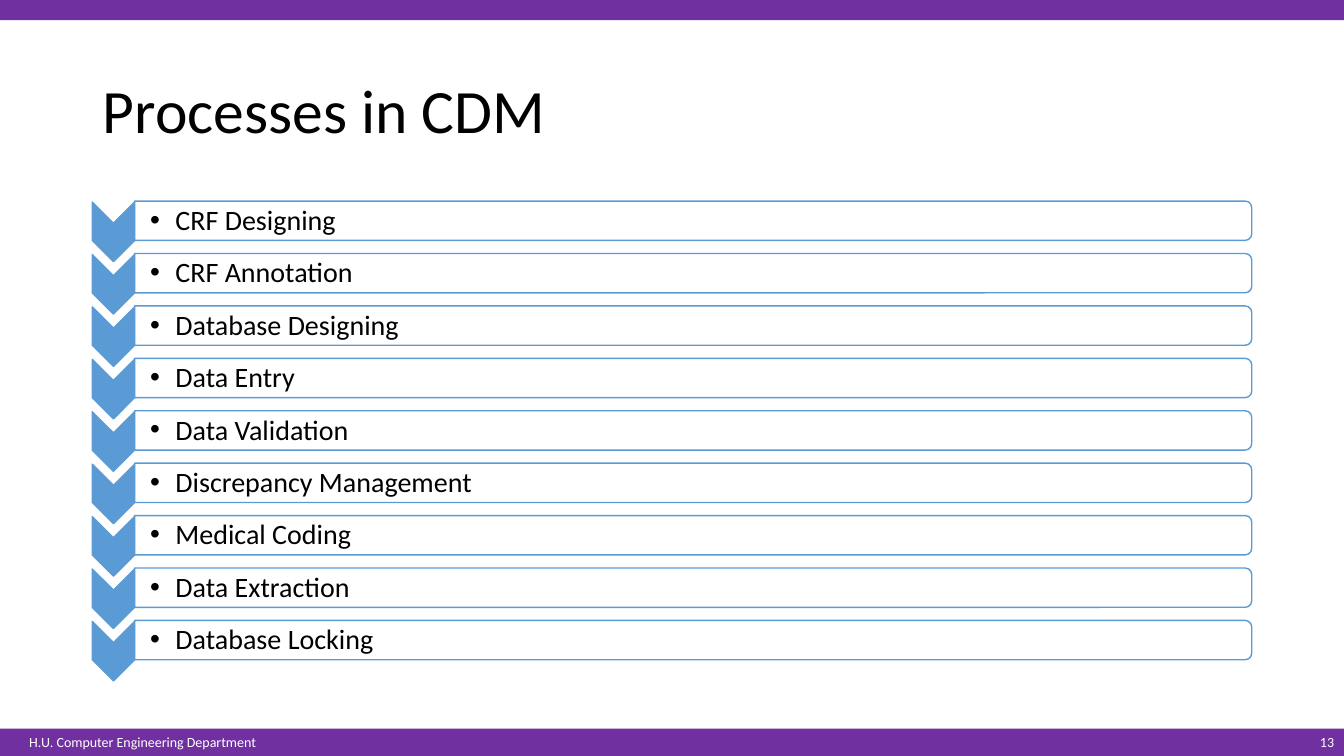
import dataclasses

import lxml.etree
import pptx
import pptx.dml.color
import pptx.enum.shapes
import pptx.enum.text
import pptx.oxml.ns
import pptx.presentation
import pptx.shapes.autoshape
import pptx.slide
import pptx.text.text
import pptx.util

Inches = pptx.util.Inches
Pt = pptx.util.Pt
RGBColor = pptx.dml.color.RGBColor
Kind = pptx.enum.shapes.MSO_SHAPE
Align = pptx.enum.text.PP_ALIGN
Anchor = pptx.enum.text.MSO_ANCHOR
qn = pptx.oxml.ns.qn

PURPLE = RGBColor(0x70, 0x30, 0xA0)
BLUE = RGBColor(0x5B, 0x9B, 0xD5)
WHITE = RGBColor(0xFF, 0xFF, 0xFF)
BLACK = RGBColor(0x00, 0x00, 0x00)
FONT = "Calibri"

WIDTH, HEIGHT = 13.33, 7.5
STEP = 0.52


@dataclasses.dataclass(frozen=True)
class Box:
    left: float
    top: float
    width: float
    height: float

    def down(self, shift: float) -> "Box":
        return dataclasses.replace(self, top=self.top + shift)

    def place(self) -> tuple[int, int, int, int]:
        return (Inches(self.left), Inches(self.top),
                Inches(self.width), Inches(self.height))


@dataclasses.dataclass(frozen=True)
class Stage:
    label: str
    row: int


LABELS = ["CRF Designing", "CRF Annotation", "Database Designing",
          "Data Entry", "Data Validation", "Discrepancy Management",
          "Medical Coding", "Data Extraction", "Database Locking"]
STAGES = [Stage(label, row) for row, label in enumerate(LABELS)]

# First row of the list; the arrow and the bar are turned by 90 degrees
ARROW = Box(0.83, 2.09, 0.59, 0.42)
BAR = Box(6.68, -3.35, 0.39, 11.08)
LABEL = Box(1.33, 2.02, 11.07, 0.35)


def add_shape(slide: pptx.slide.Slide, kind: Kind, box: Box, fill: RGBColor,
              line: RGBColor | None = None,
              turn: float = 0) -> pptx.shapes.autoshape.Shape:
    shape = slide.shapes.add_shape(kind, *box.place())
    shape.rotation = turn
    shape.shadow.inherit = False
    shape.fill.solid()
    shape.fill.fore_color.rgb = fill
    if line is None:
        shape.line.fill.background()
    else:
        shape.line.color.rgb = line
        shape.line.width = Pt(1)
    return shape


def set_text(frame: pptx.text.text.TextFrame, text: str, size: float,
             color: RGBColor,
             align: Align = Align.LEFT) -> pptx.text.text._Paragraph:
    frame.text = text
    frame.vertical_anchor = Anchor.MIDDLE
    line = frame.paragraphs[0]
    line.alignment = align
    line.font.name = FONT
    line.font.size = Pt(size)
    line.font.color.rgb = color
    return line


def add_text(slide: pptx.slide.Slide, box: Box, wrap: bool
             ) -> pptx.text.text.TextFrame:
    frame = slide.shapes.add_textbox(*box.place()).text_frame
    frame.word_wrap = wrap
    return frame


def add_bullet(line: pptx.text.text._Paragraph) -> None:
    props = line._p.get_or_add_pPr()
    props.set("marL", str(Inches(0.25)))
    props.set("indent", str(Inches(-0.25)))
    lxml.etree.SubElement(props, qn("a:buFont")).set("typeface", "Arial")
    lxml.etree.SubElement(props, qn("a:buChar")).set("char", "•")


def add_stage(slide: pptx.slide.Slide, stage: Stage) -> None:
    shift = stage.row * STEP
    add_shape(slide, Kind.CHEVRON, ARROW.down(shift), BLUE, BLUE, 90)
    bar = add_shape(slide, Kind.ROUND_2_SAME_RECTANGLE, BAR.down(shift),
                    WHITE, BLUE, 90)
    tint = bar._element.spPr.find(qn("a:solidFill")).find(qn("a:srgbClr"))
    lxml.etree.SubElement(tint, qn("a:alpha")).set("val", "90000")

    frame = add_text(slide, LABEL.down(shift), True)
    frame.margin_left = Inches(0.16)
    frame.margin_top = frame.margin_right = frame.margin_bottom = Inches(0.01)
    line = set_text(frame, stage.label, 20, BLACK)
    line.line_spacing = 0.9
    add_bullet(line)


def main() -> None:
    deck = pptx.Presentation()
    deck.slide_width, deck.slide_height = Inches(WIDTH), Inches(HEIGHT)
    slide = deck.slides.add_slide(deck.slide_layouts.get_by_name("Title Only"))

    # Bands and footer
    add_shape(slide, Kind.RECTANGLE, Box(0, 0, WIDTH, 0.2), PURPLE)
    add_shape(slide, Kind.RECTANGLE, Box(0, 7.23, WIDTH, 0.27), PURPLE)
    foot = add_text(slide, Box(0.19, 7.23, 2.49, 0.27), False)
    set_text(foot, "H.U. Computer Engineering Department", 10, WHITE)

    # Title
    title = slide.shapes.title
    title.left, title.top, title.width, title.height = Box(
        0.92, 0.4, 11.5, 1.45).place()
    set_text(title.text_frame, "Processes in CDM", 44, BLACK).line_spacing = 0.9

    # Process list
    for stage in STAGES:
        add_stage(slide, stage)

    # Page number
    page = add_text(slide, Box(12.26, 7.23, 1.07, 0.26), True)
    set_text(page, "13", 10, WHITE, Align.RIGHT)

    deck.save("out.pptx")


if __name__ == "__main__":
    main()
